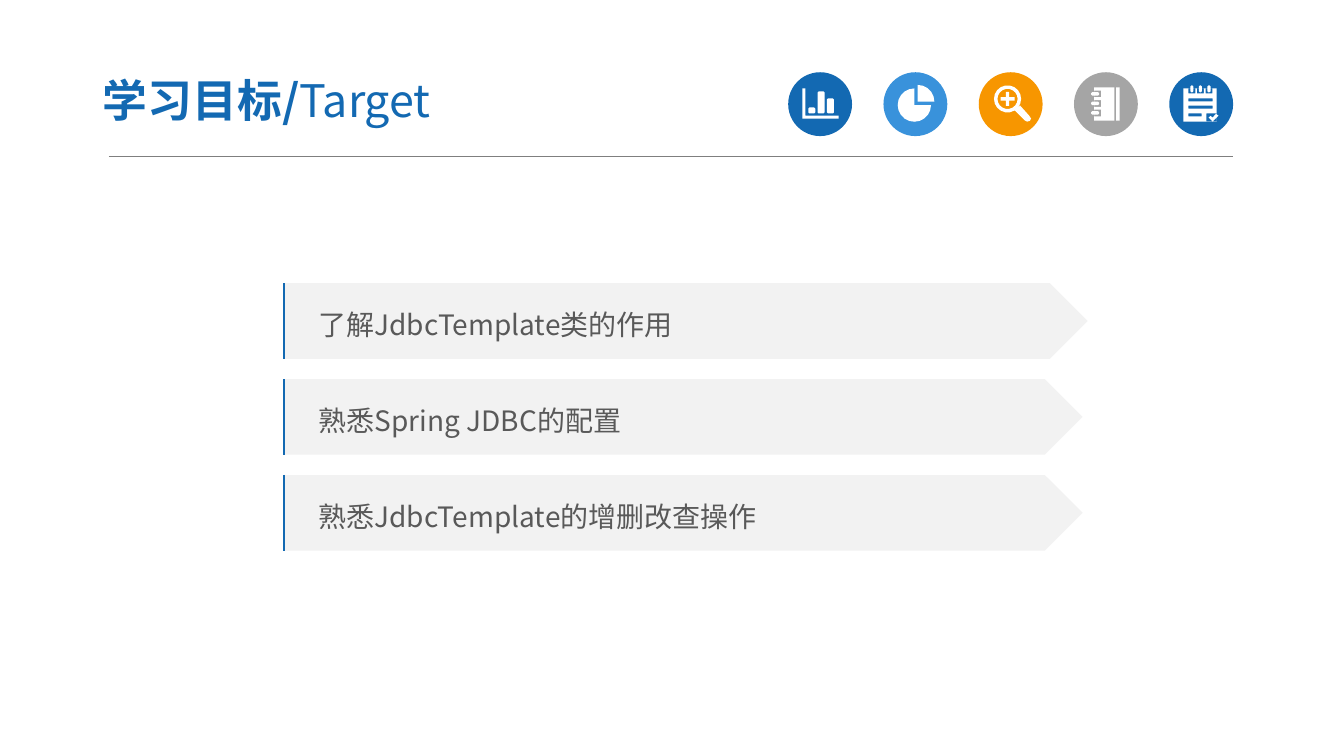
"""Builds the learning targets slide."""
from dataclasses import dataclass
from math import cos, radians, sin

from lxml import etree
from pptx import Presentation
from pptx.dml.color import RGBColor
from pptx.enum.shapes import MSO_CONNECTOR, MSO_SHAPE
from pptx.enum.text import MSO_ANCHOR, MSO_AUTO_SIZE, PP_ALIGN
from pptx.oxml.ns import qn
from pptx.util import Pt

STRAIGHT = MSO_CONNECTOR.STRAIGHT
ELLIPSE = MSO_SHAPE.OVAL
PLATE = MSO_SHAPE.PENTAGON
MIDDLE = MSO_ANCHOR.MIDDLE
NO_FIT = MSO_AUTO_SIZE.NONE
LEFT = PP_ALIGN.LEFT


@dataclass(frozen=True)
class Theme:
    """Colours, font and type sizes of the slide."""
    blue: str = "1369B2"
    sky: str = "3992DB"
    orange: str = "F79600"
    grey: str = "A5A5A5"
    white: str = "FFFFFF"
    rule: str = "7F7F7F"
    plate: str = "F2F2F2"
    text: str = "595959"
    font: str = "Noto Sans CJK SC"
    title_size: int = 32
    text_size: int = 20


def arc(x, y, radius, start, end, steps):
    """Returns points along an arc, clockwise from the right."""
    angles = [radians(start + (end - start) * step / steps) for step in range(steps + 1)]
    return [(x + radius * cos(angle), y + radius * sin(angle)) for angle in angles]


def circle(x, y, radius):
    """Returns the outline of a circle."""
    return arc(x, y, radius, 0, 360, 18)[:-1]


def block(left, top, width, height):
    """Returns the outline of a rectangle."""
    right, bottom = left + width, top + height
    return [(left, top), (right, top), (right, bottom), (left, bottom)]


def pill(left, top, width, height, cut=0.8):
    """Returns the outline of a rectangle with cut corners."""
    right, bottom = left + width, top + height
    return [(left + cut, top), (right - cut, top), (right, top + cut), (right, bottom - cut),
            (right - cut, bottom), (left + cut, bottom), (left, bottom - cut), (left, top + cut)]


def chart_icon():
    """Returns the outlines of the bar chart."""
    axes = [(10.1, 11.5), (12.3, 11.5), (12.3, 31), (36, 31), (36, 33.2), (10.1, 33.2)]
    bars = [(14.4, 25.2), (21, 13.7), (27.7, 18.7)]
    return [axes] + [pill(left, top, 5, 29.5 - top) for left, top in bars]


def pie_icon():
    """Returns the outlines of the pie and its loose quarter."""
    return [[(22.1, 23.5)] + arc(22.1, 23.5, 11.9, 0, 270, 15),
            [(24.5, 21)] + arc(24.5, 21, 11.9, 270, 360, 5)]


def magnifier_icon():
    """Returns the outlines of the lens, its plus sign and the handle."""
    x, y, long, short = 20.6, 19.1, 5, 1.2
    plus = [(x - long, y - short), (x - short, y - short), (x - short, y - long),
            (x + short, y - long), (x + short, y - short), (x + long, y - short),
            (x + long, y + short), (x + short, y + short), (x + short, y + long),
            (x - short, y + long), (x - short, y + short), (x - long, y + short)]
    handle = [(29.5, 23.8), (36, 31), (37.4, 33.1), (36.6, 34.8), (34.6, 35.3),
              (33.1, 34.6), (25.9, 27.4), (27.5, 26)]
    return [circle(x, y, 9.7), circle(x, y, 7.2), plus, handle]


def notebook_icon():
    """Returns the outlines of the ring-bound notebook."""
    outlines = [block(14.4, 10.8, 14.4, 23.8), block(30.2, 10.8, 2.4, 23.8)]
    for middle in (15.5, 22.3, 29.1):
        outlines += [block(14.4, middle - 2.4, 5, 4.8), pill(12.2, middle - 1.2, 5.8, 2.4)]
    return outlines


def checklist_icon():
    """Returns the outlines of the checklist."""
    check = [(28.1, 32.4), (29.5, 31.2), (31, 32.4), (33.3, 29.8), (35.2, 31),
             (31.2, 35), (30.8, 35)]
    outlines = [block(10.1, 11.5, 23.8, 23.8), check, block(26.6, 29.4, 7.3, 5.8)]
    for left, top, width in ((13.7, 18.7, 17.3), (13.7, 23.8, 17.3), (13.7, 29.4, 9.4)):
        outlines.append(block(left, top, width, 2.2))
    for middle in (16.2, 22.3, 28.4):
        outlines += [block(middle - 2.5, 11.5, 5, 3.7), pill(middle - 1.1, 9.4, 2.2, 5)]
    return outlines


class Page:
    """Holds the theme and the current slide."""

    def __init__(self, deck, theme):
        """Adds a title-only slide to the deck."""
        self.theme = theme
        self.slide = deck.slides.add_slide(deck.slide_layouts[5])
        self.shapes = self.slide.shapes

    def format(self, target, values):
        """Sets each attribute of the target."""
        for name, value in values.items():
            setattr(target, name, value)

    def span(self, para, text, size, color, bold=False):
        """Adds a formatted run."""
        span = para.add_run()
        span.text = text
        self.format(span.font, {"name": self.theme.font, "size": Pt(size), "bold": bold})
        span.font.color.rgb = RGBColor.from_string(color)
        east = etree.SubElement(span.font._element, qn("a:ea"))
        east.set("typeface", self.theme.font)

    def paint(self, shape, color):
        """Gives a shape a plain fill without line or shadow."""
        shape.shadow.inherit = False
        shape.fill.solid()
        shape.fill.fore_color.rgb = RGBColor.from_string(color)
        shape.line.fill.background()

    def title(self, strong, light):
        """Places the two-weight title."""
        box = self.shapes.title
        self.format(box, {"left": Pt(64.1), "top": Pt(45.4),
                          "width": Pt(375.8), "height": Pt(51.8)})
        self.format(box.text_frame, {
            "margin_left": Pt(9.4), "margin_right": Pt(9.4), "margin_top": Pt(5),
            "margin_bottom": Pt(5), "vertical_anchor": MIDDLE, "word_wrap": True,
            "auto_size": NO_FIT})
        para = box.text_frame.paragraphs[0]
        para.alignment = LEFT
        for text, bold in ((strong, True), (light, False)):
            self.span(para, text, self.theme.title_size, self.theme.blue, bold)

    def line(self, start, end, color, width):
        """Draws a straight line."""
        line = self.shapes.add_connector(STRAIGHT, *map(Pt, start + end))
        line.line.color.rgb = RGBColor.from_string(color)
        line.line.width = Pt(width)
        etree.SubElement(line._element.spPr, qn("a:effectLst"))

    def badge(self, left, top, color, outlines):
        """Draws a round badge with a white icon."""
        self.paint(self.shapes.add_shape(ELLIPSE, Pt(left), Pt(top), Pt(45.6), Pt(45.6)), color)
        builder = None
        for outline in outlines:
            points = [(Pt(left + x), Pt(top + y)) for x, y in outline]
            if builder is None:
                builder = self.shapes.build_freeform(*points[0], scale=1.0)
            else:
                builder.move_to(*points[0])
            builder.add_line_segments(points[1:], close=True)
        self.paint(builder.convert_to_shape(), self.theme.white)

    def target(self, top, width, text):
        """Draws one target plate with its accent line."""
        left, height = 202.3, 54
        plate = self.shapes.add_shape(PLATE, Pt(left), Pt(top), Pt(width), Pt(height))
        self.paint(plate, self.theme.plate)
        self.format(plate.text_frame, {"margin_left": Pt(25.2), "vertical_anchor": MIDDLE,
                                       "word_wrap": True})
        para = plate.text_frame.paragraphs[0]
        self.format(para, {"alignment": LEFT, "line_spacing": 1.2})
        self.span(para, text, self.theme.text_size, self.theme.text)
        self.line((left + 0.7, top), (left + 0.7, top + height), self.theme.blue, 1.5)


def main():
    """Builds and saves the deck."""
    deck = Presentation()
    deck.slide_width, deck.slide_height = Pt(960), Pt(540)
    theme = Theme()
    page = Page(deck, theme)
    page.title("学习目标/", "Target")
    page.line((77.8, 111.4), (880.6, 111.4), theme.rule, 0.5)
    badges = ((theme.blue, chart_icon), (theme.sky, pie_icon), (theme.orange, magnifier_icon),
              (theme.grey, notebook_icon), (theme.blue, checklist_icon))
    for index, (color, icon) in enumerate(badges):
        page.badge(563 + 68.05 * index, 51.6, color, icon())
    targets = ((574.6, "了解JdbcTemplate类的作用"), (571, "熟悉Spring JDBC的配置"),
               (571, "熟悉JdbcTemplate的增删改查操作"))
    for index, (width, text) in enumerate(targets):
        page.target(202.3 + 68.5 * index, width, text)
    deck.save("out.pptx")


if __name__ == "__main__":
    main()
